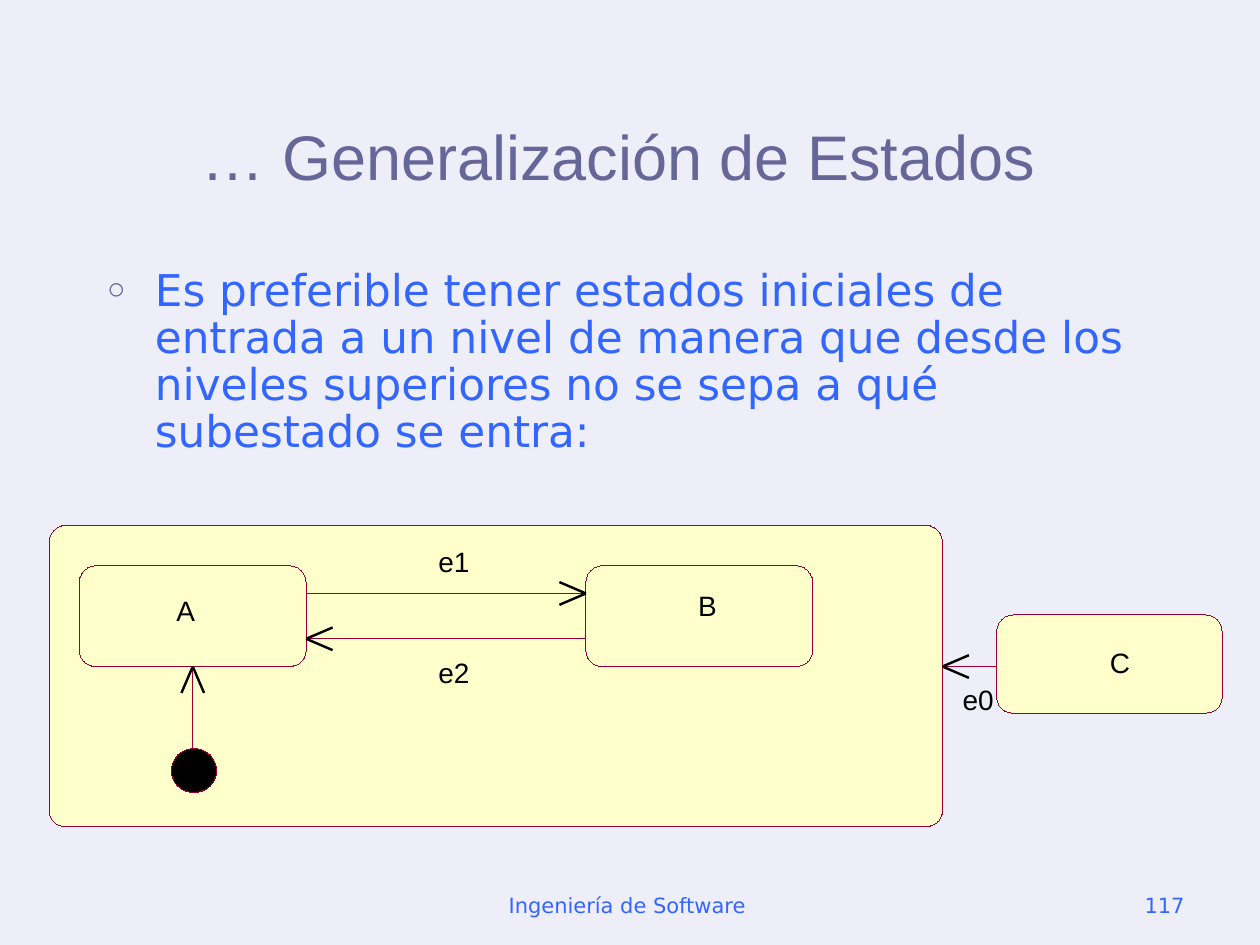
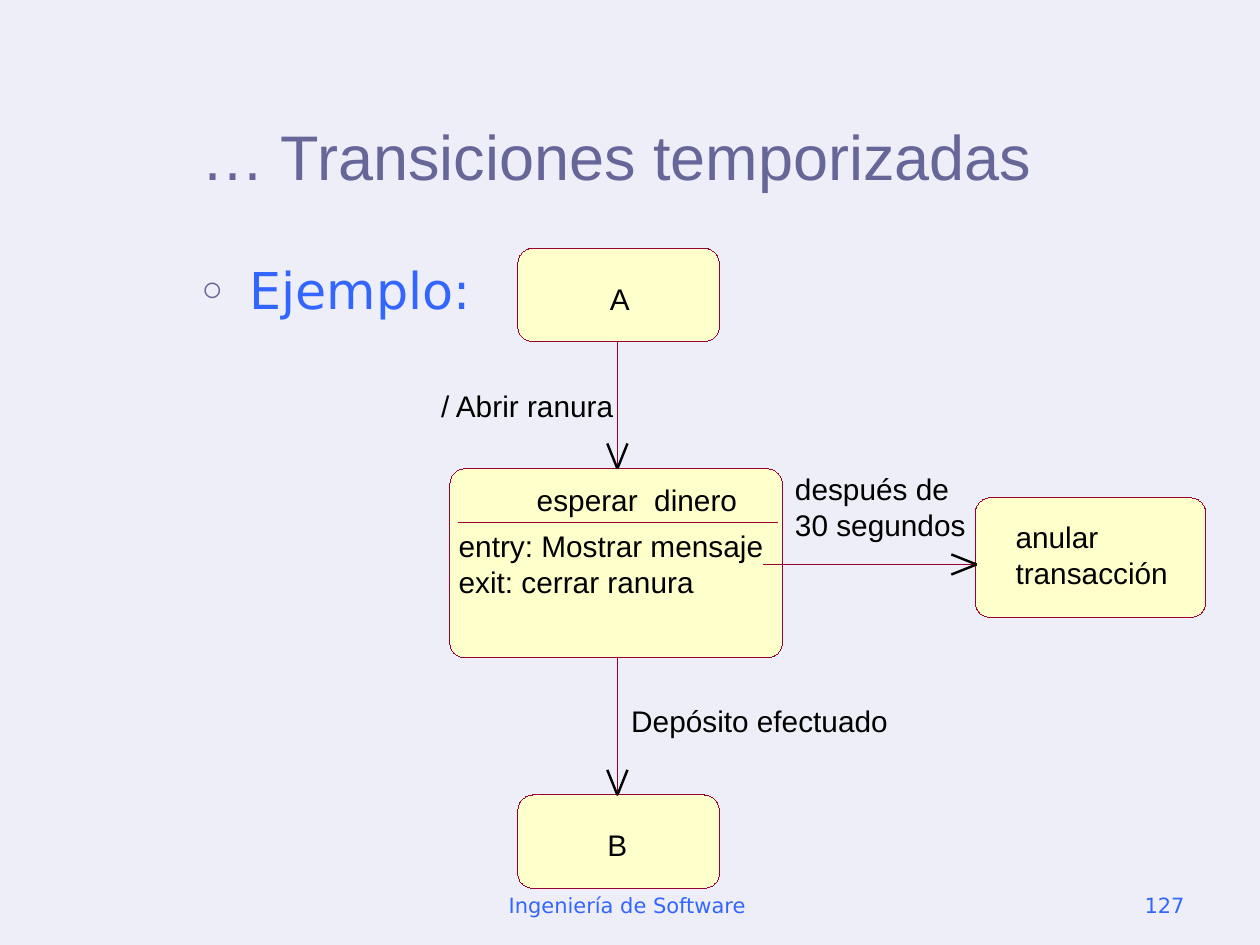
from dataclasses import dataclass

from lxml.etree import SubElement
from pptx import Presentation
from pptx.dml.color import RGBColor
from pptx.enum.shapes import MSO_CONNECTOR, MSO_SHAPE
from pptx.enum.text import MSO_ANCHOR, MSO_AUTO_SIZE, PP_ALIGN
from pptx.oxml.ns import qn
from pptx.util import Pt

PX = 9144  # EMU per px, 100 px to the inch


@dataclass(frozen=True)
class Theme:
    background: str = "EEEEF8"
    title: str = "666699"
    text: str = "3366FF"
    label: str = "000000"
    state_fill: str = "FFFFCC"
    outline: str = "990033"
    head_font: str = "Arial"
    body_font: str = "DejaVu Sans"
    title_size: int = 36
    footer_size: int = 12
    hairline: float = 0.01
    head_width: float = 1.39


THEME = Theme()

# Content: boxes are (left, top, width, height), arrows run from start to tip
FOOTER = "Ingeniería de Software "
FOOTER_BOX = (342, 683, 317, 50)
NUMBER_BOX = (717, 683, 233, 50)
TITLE_BOX = (150, 33, 800, 125)
LABEL_SLACK = 20  # spare width that keeps each label line unbroken

SLIDES = [
    {
        "title": "… Generalización de Estados",
        "body": "Es preferible tener estados iniciales de entrada a un nivel de manera "
                "que desde los niveles superiores no se sepa a qué subestado se entra:",
        "body_box": (75, 208, 850, 477), "body_size": 25, "line_spacing": 0.9,
        "number": "117",
        "radius": 13, "head": (21, 9), "label_size": 16, "label_line": 27,
        "states": [(791, 488, 179, 78), (39, 417, 709, 239),
                   (63, 449, 180, 80), (465, 449, 180, 80)],
        "initial": [(136, 594, 36, 35)],
        "rules": [],
        "arrows": [((465, 507), (243, 507)), ((243, 471), (465, 471)),
                   ((153, 594), (153, 529)), ((791, 529), (748, 529))],
        "labels": [("C", 881, 512, 16), ("A", 140, 471, 15), ("B", 554, 467, 15),
                   ("e2", 348, 520, 25), ("e1", 348, 432, 25), ("e0", 764, 542, 25)],
    },
    {
        "title": "… Transiciones temporizadas",
        "body": "Ejemplo:",
        "body_box": (150, 200, 800, 450), "body_size": 29, "line_spacing": 1.0,
        "number": "127",
        "radius": 12, "head": (20, 8), "label_size": 17, "label_line": 28,
        "states": [(411, 197, 160, 74), (357, 372, 264, 150),
                   (411, 631, 160, 74), (774, 395, 183, 95)],
        "initial": [],
        "rules": [((364, 415), (617, 415))],
        "arrows": [((490, 272), (490, 372)), ((490, 522), (490, 631)),
                   ((606, 448), (775, 448))],
        "labels": [("A", 484, 223, 16), ("esperar  dinero", 426, 382, 159),
                   ("entry: Mostrar mensaje\nexit: cerrar ranura", 364, 419, 242),
                   ("B", 482, 656, 16), ("anular\ntransacción", 806, 412, 121),
                   ("/ Abrir ranura", 350, 308, 139),
                   ("Depósito efectuado", 501, 558, 204),
                   ("después de\n30 segundos", 631, 374, 136)],
    },
]


def rgb(color):
    return RGBColor.from_string(color)


def emu(*lengths):
    return [round(length * PX) for length in lengths]


def place(shape, box):
    shape.left, shape.top, shape.width, shape.height = emu(*box)


def format_text(text_frame, font, size, color, align=PP_ALIGN.LEFT):
    for paragraph in text_frame.paragraphs:
        paragraph.alignment = align
        for run in paragraph.runs:
            run.font.name, run.font.size = font, Pt(size)
            run.font.color.rgb = rgb(color)


def add_bullet(paragraph):
    properties = paragraph._p.get_or_add_pPr()
    properties.set("marL", str(38 * PX))
    properties.set("indent", str(-38 * PX))
    bullet_color = SubElement(properties, qn("a:buClr"))
    SubElement(bullet_color, qn("a:srgbClr"), val=THEME.title)
    SubElement(properties, qn("a:buSzPct"), val="70000")
    SubElement(properties, qn("a:buFont"), typeface=THEME.head_font)
    SubElement(properties, qn("a:buChar"), char="○")


def add_title(slide, text):
    title = slide.shapes.title
    place(title, TITLE_BOX)
    frame = title.text_frame
    frame.text = text
    frame.auto_size, frame.vertical_anchor = MSO_AUTO_SIZE.NONE, MSO_ANCHOR.BOTTOM
    format_text(frame, THEME.head_font, THEME.title_size, THEME.title)


def add_body(slide, content):
    body = slide.placeholders[1]
    place(body, content["body_box"])
    frame = body.text_frame
    frame.text = content["body"]
    frame.auto_size = MSO_AUTO_SIZE.NONE
    paragraph = frame.paragraphs[0]
    add_bullet(paragraph)
    paragraph.space_before = Pt(0)
    paragraph.line_spacing = content["line_spacing"]
    format_text(frame, THEME.body_font, content["body_size"], THEME.text)


def add_footer(slide, text, box, align):
    frame = slide.shapes.add_textbox(*emu(*box)).text_frame
    frame.text = text
    frame.word_wrap, frame.vertical_anchor = True, MSO_ANCHOR.BOTTOM
    format_text(frame, THEME.body_font, THEME.footer_size, THEME.text, align)


def add_node(slide, kind, box, fill):
    shape = slide.shapes.add_shape(kind, *emu(*box))
    shape.shadow.inherit = False
    shape.fill.solid()
    shape.fill.fore_color.rgb = rgb(fill)
    shape.line.color.rgb = rgb(THEME.outline)
    shape.line.width = Pt(THEME.hairline)
    return shape


def add_state(slide, box, radius):
    state = add_node(slide, MSO_SHAPE.ROUNDED_RECTANGLE, box, THEME.state_fill)
    state.adjustments[0] = radius / min(box[2:])


def add_line(slide, start, end, color=THEME.outline, width=THEME.hairline):
    line = slide.shapes.add_connector(MSO_CONNECTOR.STRAIGHT, *emu(*start, *end))
    line.line.color.rgb = rgb(color)
    line.line.width = Pt(width)
    SubElement(line._element.spPr, qn("a:effectLst"))


def add_arrow(slide, start, tip, head):
    """Thin shaft with an open head of two strokes that meet at the tip."""
    add_line(slide, start, tip)
    length, half = head
    run, rise = tip[0] - start[0], tip[1] - start[1]
    distance = max(abs(run), abs(rise))
    along_x, along_y = run / distance, rise / distance
    for side in (half, -half):
        barb = (tip[0] - length * along_x - side * along_y,
                tip[1] - length * along_y + side * along_x)
        add_line(slide, tip, barb, THEME.label, THEME.head_width)


def add_label(slide, text, left, top, width, size, line_height):
    box = (left, top, width + LABEL_SLACK, line_height * len(text.split("\n")))
    frame = slide.shapes.add_textbox(*emu(*box)).text_frame
    frame.margin_left = frame.margin_top = frame.margin_right = frame.margin_bottom = 0
    frame.word_wrap, frame.auto_size = True, MSO_AUTO_SIZE.NONE
    frame.text = text
    format_text(frame, THEME.head_font, size, THEME.label)


def add_diagram(slide, content):
    for box in content["states"]:
        add_state(slide, box, content["radius"])
    for box in content["initial"]:
        add_node(slide, MSO_SHAPE.OVAL, box, THEME.label)
    for start, end in content["rules"]:
        add_line(slide, start, end)
    for start, tip in content["arrows"]:
        add_arrow(slide, start, tip, content["head"])
    for label in content["labels"]:
        add_label(slide, *label, content["label_size"], content["label_line"])


def main():
    presentation = Presentation()
    presentation.slide_width, presentation.slide_height = emu(1000, 750)
    background = presentation.slide_master.background.fill
    background.solid()
    background.fore_color.rgb = rgb(THEME.background)

    for content in SLIDES:
        slide = presentation.slides.add_slide(presentation.slide_layouts[1])
        add_footer(slide, FOOTER, FOOTER_BOX, PP_ALIGN.CENTER)
        add_footer(slide, content["number"], NUMBER_BOX, PP_ALIGN.RIGHT)
        add_title(slide, content["title"])
        add_body(slide, content)
        add_diagram(slide, content)

    presentation.save("out.pptx")


if __name__ == "__main__":
    main()
